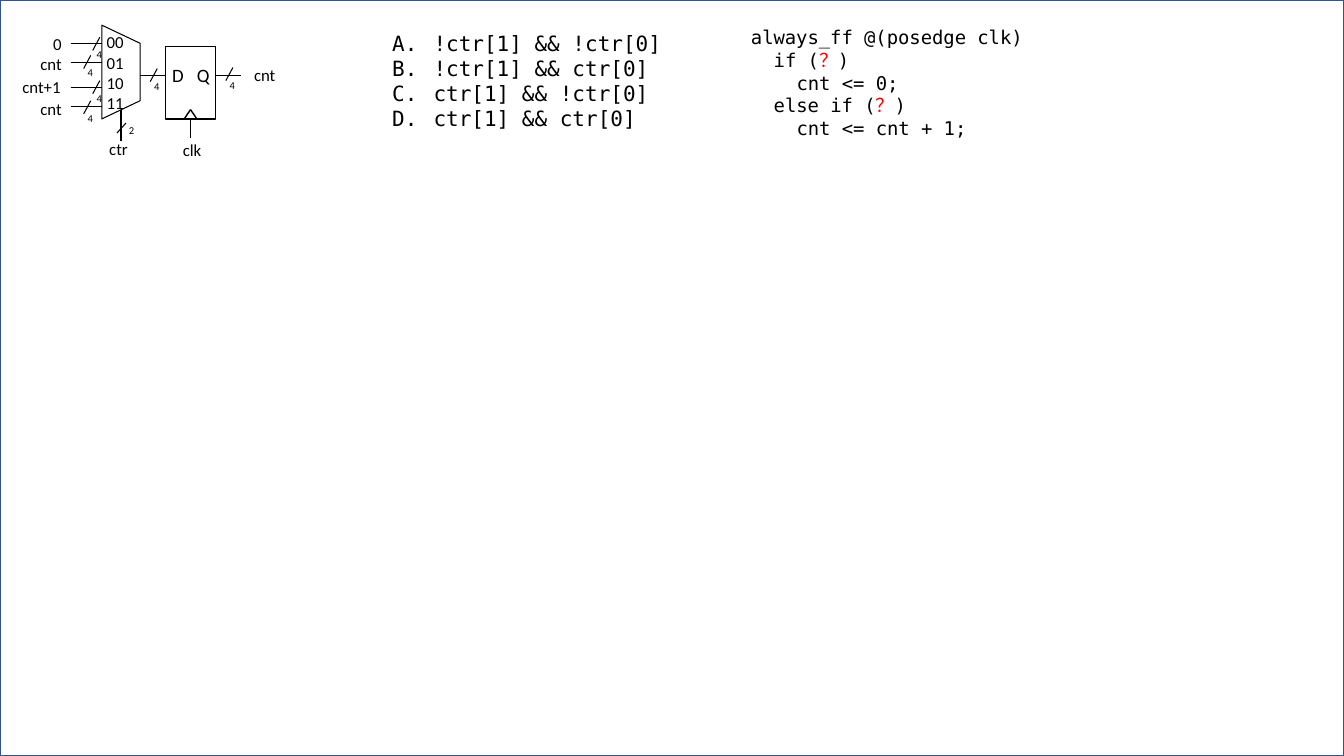
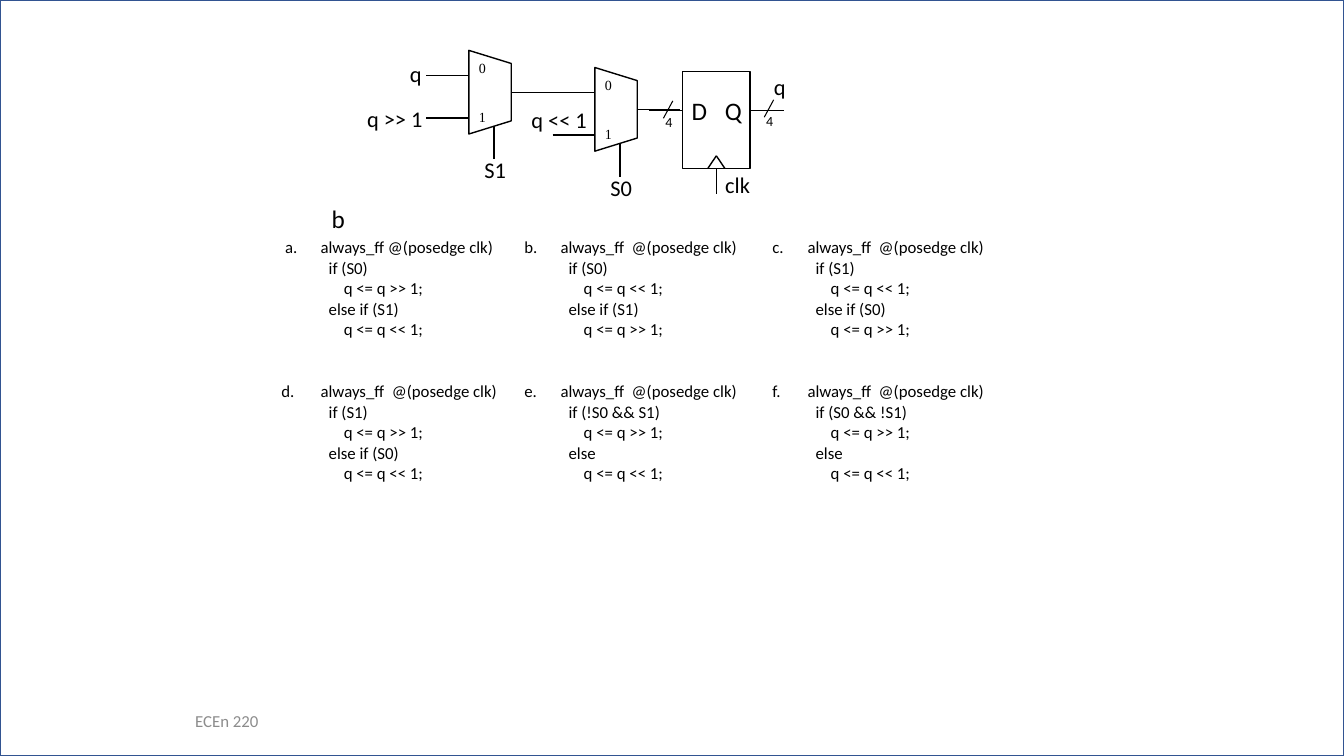
from dataclasses import dataclass

from lxml.etree import SubElement
from pptx import Presentation
from pptx.dml.color import RGBColor
from pptx.enum.shapes import MSO_CONNECTOR as Connector, MSO_SHAPE as Preset
from pptx.enum.text import MSO_ANCHOR as Anchor, MSO_AUTO_SIZE as AutoSize, PP_ALIGN as Align
from pptx.oxml.ns import qn
from pptx.util import Inches, Pt

BLACK = RGBColor(0x00, 0x00, 0x00)
WHITE = RGBColor(0xFF, 0xFF, 0xFF)
RED = RGBColor(0xFF, 0x00, 0x00)
GREY = RGBColor(0x8C, 0x8C, 0x8C)
FRAME_BLUE = RGBColor(0x32, 0x54, 0x91)
SANS = "Calibri"
MONO = "DejaVu Sans Mono"
SERIF = "Times New Roman"
SLIDE_WIDTH, SLIDE_HEIGHT = 13.33, 7.5
BLANK_MARK = "？"


@dataclass(frozen=True)
class Label:
    text: str
    left: float
    top: float
    width: float
    height: float
    align: Align = Align.LEFT
    size: float = 12
    font: str = SANS
    color: RGBColor = BLACK
    anchor: Anchor = Anchor.TOP


@dataclass(frozen=True)
class Mux:
    left: float
    top: float
    width: float
    height: float
    slant: float
    inputs: tuple
    input_length: float
    select: float
    select_length: float
    weight: float
    output_length: float = 0


@dataclass(frozen=True)
class FlipFlop:
    left: float
    top: float
    width: float
    height: float
    size: float


@dataclass(frozen=True)
class BusMark:
    left: float
    top: float
    size: float


@dataclass(frozen=True)
class CodeLine:
    text: str
    depth: int = 0


def format_run(run, size: float, font: str, color: RGBColor = BLACK) -> None:
    run.font.size = Pt(size)
    run.font.name = font
    run.font.color.rgb = color


def format_paragraph(paragraph, size: float, font: str, color: RGBColor = BLACK) -> None:
    for run in paragraph.runs:
        format_run(run, size, font, color)


def indent(paragraph, margin: float, first: float = 0):
    properties = paragraph._p.get_or_add_pPr()
    properties.set("marL", str(Inches(margin)))
    properties.set("indent", str(Inches(first)))
    return properties


def add_label(slide, label: Label):
    shape = slide.shapes.add_textbox(
        Inches(label.left), Inches(label.top), Inches(label.width), Inches(label.height))
    text_frame = shape.text_frame
    text_frame.word_wrap = False
    text_frame.vertical_anchor = label.anchor
    text_frame.text = label.text
    for paragraph in text_frame.paragraphs:
        paragraph.alignment = label.align
        format_paragraph(paragraph, label.size, label.font, label.color)
    return shape


def add_line(slide, x1: float, y1: float, x2: float, y2: float, weight: float = 1):
    line = slide.shapes.add_connector(
        Connector.STRAIGHT, Inches(x1), Inches(y1), Inches(x2), Inches(y2))
    line.line.color.rgb = BLACK
    line.line.width = Pt(weight)
    SubElement(line.element.spPr, qn("a:effectLst"))
    return line


def add_rectangle(slide, left: float, top: float, width: float, height: float, color: RGBColor):
    shape = slide.shapes.add_shape(
        Preset.RECTANGLE, Inches(left), Inches(top), Inches(width), Inches(height))
    shape.shadow.inherit = False
    shape.line.color.rgb = color
    shape.line.width = Pt(1)
    return shape


def add_master_frame(presentation, slide) -> None:
    frame = add_rectangle(slide, 0, 0, SLIDE_WIDTH, SLIDE_HEIGHT, FRAME_BLUE)
    frame.fill.background()
    frame.element.nvSpPr.cNvPr.set("id", "99")
    presentation.slide_master.shapes.element.append(frame.element)


def add_flip_flop(slide, part: FlipFlop) -> None:
    box = add_rectangle(slide, part.left, part.top, part.width, part.height, BLACK)
    box.fill.solid()
    box.fill.fore_color.rgb = WHITE
    middle = part.left + part.width / 2
    right, bottom = part.left + part.width, part.top + part.height
    pin, stub = part.top + 0.4 * part.height, part.width / 2
    for text, side in (("D", -1), ("Q", 1)):
        center = middle + side * part.width / 4
        add_label(slide, Label(text, center - 0.2, pin - 0.2, 0.4, 0.4, Align.CENTER,
                               part.size, anchor=Anchor.MIDDLE))
        add_line(slide, middle, bottom - 0.185 * part.width,
                 middle + side * part.width / 8, bottom)
    clock = add_line(slide, middle, bottom, middle, bottom + 0.375 * part.width)
    clock.begin_connect(box, 2)
    add_line(slide, part.left, pin, part.left - stub, pin)
    add_line(slide, right, pin, right + stub, pin)


def add_mux(slide, mux: Mux) -> None:
    right, bottom = mux.left + mux.width, mux.top + mux.height
    builder = slide.shapes.build_freeform(Inches(mux.left), Inches(mux.top), scale=1.0)
    builder.add_line_segments([
        (Inches(right), Inches(mux.top + mux.slant)),
        (Inches(right), Inches(bottom - mux.slant)),
        (Inches(mux.left), Inches(bottom)),
    ], close=True)
    outline = builder.convert_to_shape()
    outline.shadow.inherit = False
    outline.fill.background()
    outline.line.color.rgb = BLACK
    outline.line.width = Pt(mux.weight)
    for offset in mux.inputs:
        y = mux.top + offset
        add_line(slide, mux.left - mux.input_length, y, mux.left, y, mux.weight)
    select_x = mux.left + mux.select
    select_y = bottom - mux.slant * mux.select / mux.width
    add_line(slide, select_x, select_y, select_x, select_y + mux.select_length, mux.weight)
    if mux.output_length:
        y = mux.top + mux.height / 2
        add_line(slide, right, y, right + mux.output_length, y, mux.weight)


def add_bus_mark(slide, mark: BusMark) -> None:
    scale = mark.size / 7.5
    add_line(slide, mark.left + 0.07 * scale, mark.top, mark.left, mark.top + 0.13 * scale, 0.75)
    add_label(slide, Label("4", mark.left - 0.06 * scale, mark.top + 0.06 * scale,
                           0.25, 0.23, size=mark.size))


def add_answer_list(slide, answers: list[str]) -> None:
    body = slide.placeholders[1]
    body.left, body.top, body.width, body.height = map(Inches, (3.79, 0.25, 2.87, 1.11))
    text_frame = body.text_frame
    text_frame.auto_size = AutoSize.NONE
    text_frame.text = "\n".join(answers)
    for paragraph in text_frame.paragraphs:
        paragraph.space_before = Pt(0)
        format_paragraph(paragraph, 15, MONO)
        properties = indent(paragraph, 0.41, -0.41)
        SubElement(properties, qn("a:buFont"), typeface=MONO)
        SubElement(properties, qn("a:buAutoNum"), type="alphaUcPeriod")


def add_code_question(slide, lines: list[CodeLine]) -> None:
    label = Label("\n".join(line.text for line in lines), 7.35, 0.21, 2.93, 1.24,
                  size=13.5, font=MONO)
    text_frame = add_label(slide, label).text_frame
    for paragraph, line in zip(text_frame.paragraphs, lines):
        indent(paragraph, 0.226 * line.depth)
        before, mark, after = line.text.partition(BLANK_MARK)
        if mark:
            paragraph.text = before
            for text in (mark, after):
                paragraph.add_run().text = text
            for run, color in zip(paragraph.runs, (BLACK, RED, BLACK)):
                format_run(run, label.size, MONO, color)


def add_choice_table(slide, choices: list[list[tuple[str, list[str]]]]) -> None:
    table = slide.shapes.add_table(
        2, 6, Inches(2.69), Inches(2.31), Inches(7.8), Inches(2.64)).table
    table.first_row = table.horz_banding = False
    for column, width in zip(table.columns, (0.39, 2.02, 0.36, 2.1, 0.35, 2.58)):
        column.width = Inches(width)
    for row, height in zip(table.rows, (1.43, 1.21)):
        row.height = Inches(height)
    for row_index, row_choices in enumerate(choices):
        for choice_index, (letter, code) in enumerate(row_choices):
            for offset, text in enumerate((letter, "\n".join(code))):
                cell = table.cell(row_index, 2 * choice_index + offset)
                cell.fill.background()
                cell.text_frame.text = text
                for paragraph, margin in zip(cell.text_frame.paragraphs,
                                             (0, 0.08, 0.23, 0.08, 0.23)):
                    indent(paragraph, margin)
                    format_paragraph(paragraph, 12, SANS)


def shift_choice(letter: str, test: str, first: str, other: str, second: str,
                 header: str = "always_ff  @(posedge clk)") -> tuple[str, list[str]]:
    return letter, [header, f"if ({test})", f"q <= q {first} 1;", other, f"q <= q {second} 1;"]


def build_counter_slide(presentation) -> None:
    slide = presentation.slides.add_slide(presentation.slide_layouts[1])
    title = slide.shapes.title.element
    title.getparent().remove(title)
    add_master_frame(presentation, slide)
    add_flip_flop(slide, FlipFlop(1.64, 0.46, 0.5, 0.72, 13.5))
    add_mux(slide, Mux(1.01, 0.25, 0.38, 0.93, 0.18, (0.18, 0.37, 0.62, 0.81),
                       0.31, 0.19, 0.31, 0.75))
    for label in (
        Label("cnt", 2.41, 0.59, 0.42, 0.3, Align.RIGHT),
        Label("clk", 1.71, 1.34, 0.39, 0.3, Align.CENTER),
        Label("ctr", 0.78, 1.33, 0.79, 0.3, Align.CENTER),
        Label("0", 0.42, 0.29, 0.29, 0.3, Align.RIGHT),
        Label("cnt", 0.29, 0.48, 0.42, 0.3, Align.RIGHT),
        Label("cnt+1", 0.1, 0.71, 0.6, 0.3, Align.RIGHT),
        Label("cnt", 0.29, 0.93, 0.42, 0.3, Align.RIGHT),
        Label("2", 1.18, 1.18, 0.25, 0.23, size=7.5),
        Label("00\n01\n10\n11", 0.96, 0.27, 0.37, 0.91),
    ):
        add_label(slide, label)
    add_line(slide, 1.25, 1.22, 1.16, 1.32, 0.75)
    for left, top in ((2.24, 0.67), (1.49, 0.68), (0.92, 0.8),
                      (0.83, 1), (0.83, 0.55), (0.92, 0.37)):
        add_bus_mark(slide, BusMark(left, top, 7.5))
    add_code_question(slide, [
        CodeLine("always_ff @(posedge clk)"),
        CodeLine("if (？)", 1),
        CodeLine("cnt <= 0;", 2),
        CodeLine("else if (？)", 1),
        CodeLine("cnt <= cnt + 1;", 2),
    ])
    add_answer_list(slide, ["!ctr[1] && !ctr[0]", "!ctr[1] && ctr[0]",
                            "ctr[1] && !ctr[0]", "ctr[1] && ctr[0]"])


def build_shifter_slide(presentation) -> None:
    slide = presentation.slides.add_slide(presentation.slide_layouts[6])
    add_flip_flop(slide, FlipFlop(6.77, 0.71, 0.67, 0.96, 18))
    for left, top in ((4.65, 0.5), (5.9, 0.67)):
        add_mux(slide, Mux(left, top, 0.42, 0.83, 0.13, (0.25, 0.67), 0.42, 0.25, 0.33, 1, 0.42))
        digits = add_label(slide, Label("0\n1", left, top, 0.42, 0.83, size=10,
                                        font=SERIF, anchor=Anchor.MIDDLE))
        digits.text_frame.paragraphs[1].space_before = Pt(23)
    for label in (
        Label("q", 7.57, 0.68, 0.32, 0.37, Align.RIGHT, 16),
        Label("clk", 7.09, 1.65, 0.45, 0.37, Align.CENTER, 16),
        Label("S0", 5.95, 1.68, 0.42, 0.37, Align.CENTER, 16),
        Label("S1", 4.7, 1.5, 0.42, 0.37, Align.CENTER, 16),
        Label("q", 3.96, 0.55, 0.32, 0.37, Align.RIGHT, 16),
        Label("q >> 1", 3.53, 0.99, 0.76, 0.37, Align.RIGHT, 16),
        Label("q << 1", 5.16, 1, 0.76, 0.37, Align.RIGHT, 16),
        Label("b", 3.19, 1.97, 0.34, 0.4, size=18),
        Label("ECEn 220", 0, 6.95, 4.5, 0.4, Align.CENTER, color=GREY, anchor=Anchor.MIDDLE),
    ):
        add_label(slide, label)
    for left, top in ((7.58, 0.99), (6.58, 1)):
        add_bus_mark(slide, BusMark(left, top, 10))
    add_choice_table(slide, [
        [shift_choice(" a.", "S0", ">>", "else if (S1)", "<<", "always_ff @(posedge clk)"),
         shift_choice("b.", "S0", "<<", "else if (S1)", ">>"),
         shift_choice("c.", "S1", "<<", "else if (S0)", ">>")],
        [shift_choice("d.", "S1", ">>", "else if (S0)", "<<"),
         shift_choice("e.", "!S0 && S1", ">>", "else", "<<"),
         shift_choice("f.", "S0 && !S1", ">>", "else", "<<")],
    ])


def main() -> None:
    presentation = Presentation()
    presentation.slide_width = Inches(SLIDE_WIDTH)
    presentation.slide_height = Inches(SLIDE_HEIGHT)
    build_counter_slide(presentation)
    build_shifter_slide(presentation)
    presentation.save("out.pptx")


if __name__ == "__main__":
    main()
